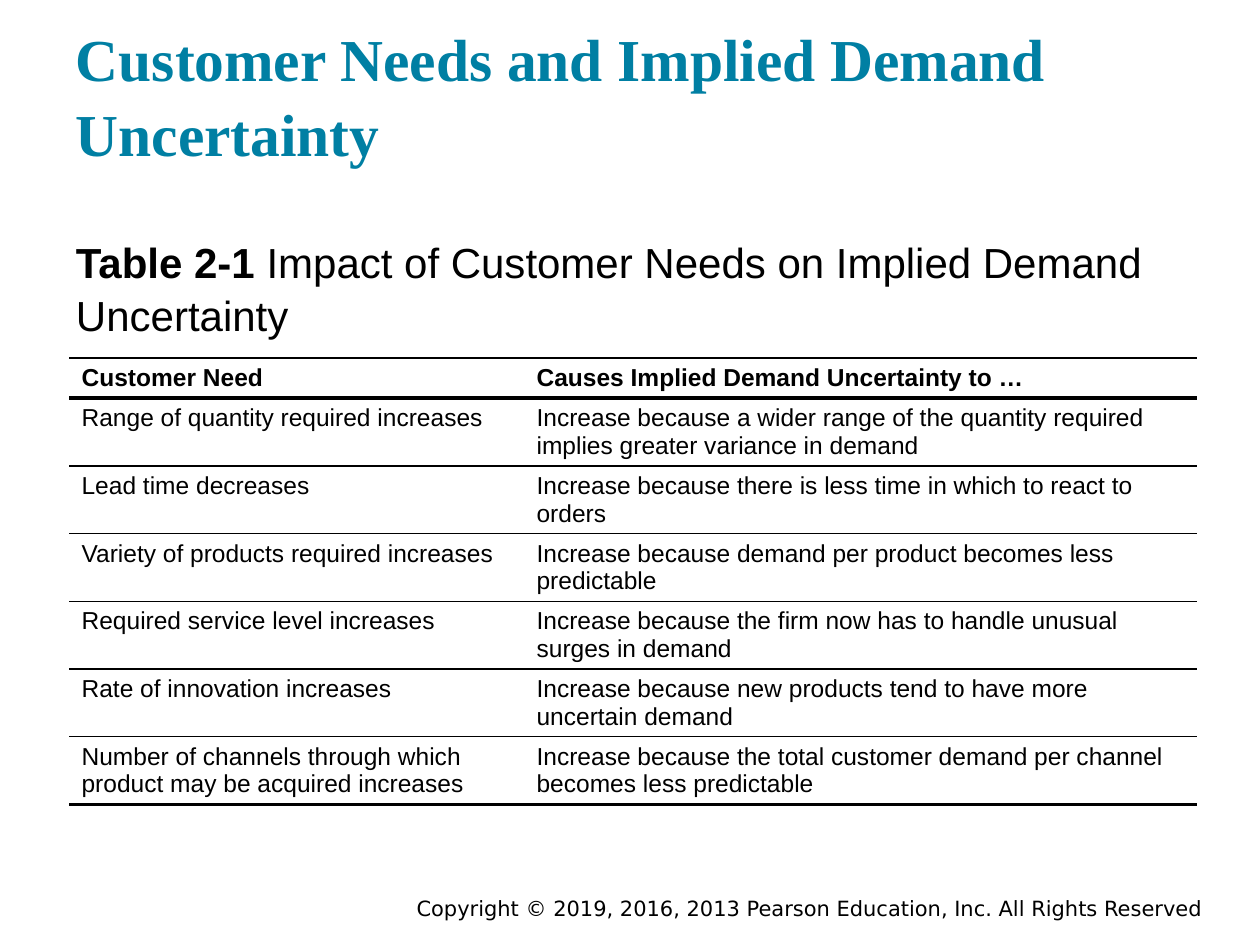
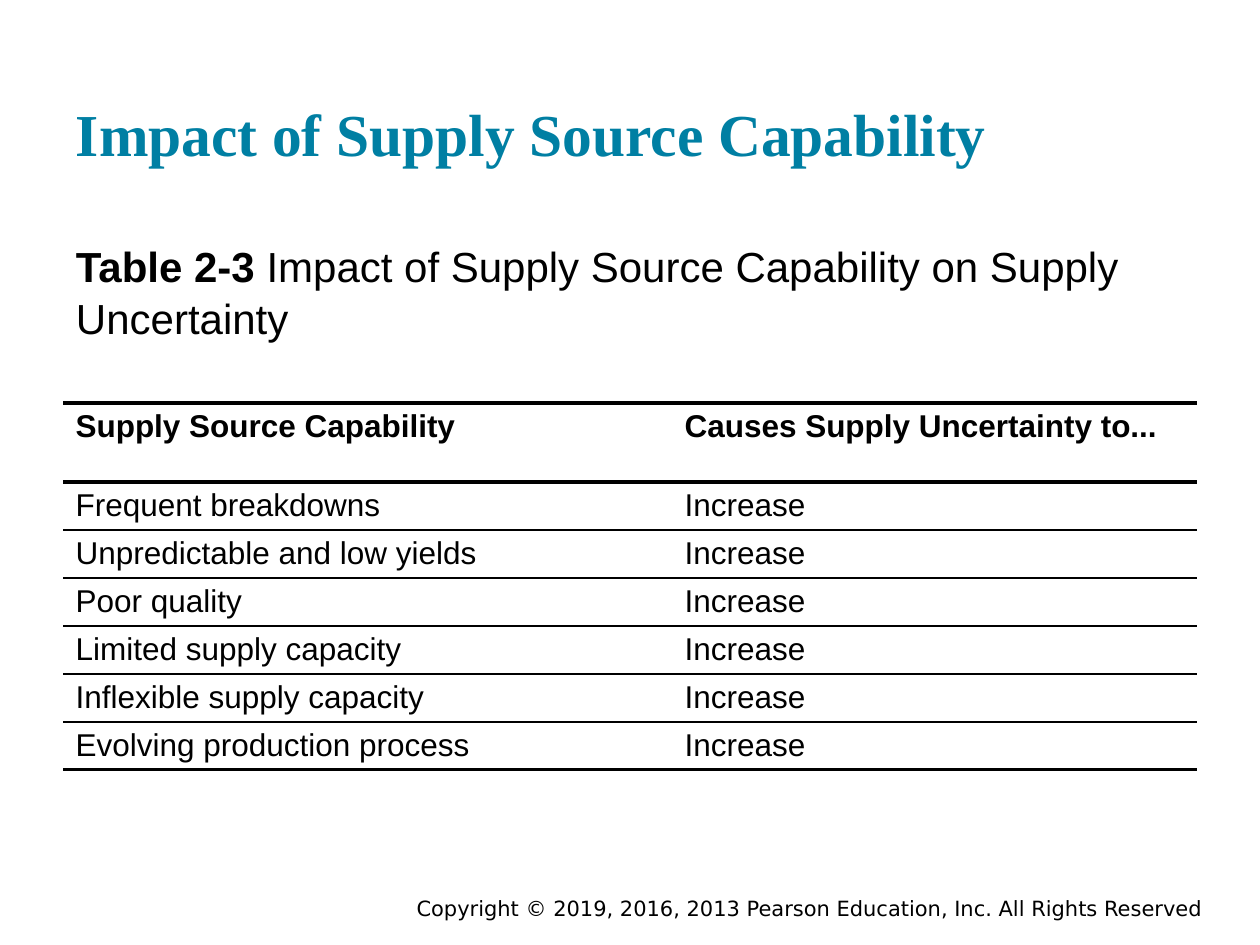
from lxml import etree
from pptx import Presentation
from pptx.dml.color import RGBColor
from pptx.enum.text import MSO_ANCHOR, MSO_AUTO_SIZE, PP_ALIGN
from pptx.oxml.ns import qn
from pptx.util import Emu, Pt

LEFT, RIGHT = PP_ALIGN.LEFT, PP_ALIGN.RIGHT
TOP, MIDDLE, BOTTOM = MSO_ANCHOR.TOP, MSO_ANCHOR.MIDDLE, MSO_ANCHOR.BOTTOM
FIXED = MSO_AUTO_SIZE.NONE
TEAL, BLACK = "007FA3", "000000"
SERIF, SANS, FINE = "Times New Roman", "Arial", "DejaVu Sans"
THIN, THICK = 1, 2.25
NOTICE = "Copyright © 2019, 2016, 2013 Pearson Education, Inc. All Rights Reserved"


def px(count):
    return Emu(round(count * 914400 / 126))


def write(para, text, face, size, color=BLACK, bold=False):
    run = para.add_run()
    run.text = text
    run.font.name = face
    run.font.size = Pt(size)
    run.font.bold = bold
    run.font.color.rgb = RGBColor.from_string(color)


pages = [
    {
        "title": "Customer Needs and Implied Demand Uncertainty",
        "head": (11, 170),
        "label": "Table 2-1",
        "caption": " Impact of Customer Needs on Implied Demand Uncertainty",
        "body": (222, 115),
        "grid": (69, 358),
        "cols": (455, 673),
        "heights": (40, 67),
        "size": 14,
        "top": THIN,
        "rows": [
            ("Customer Need", "Causes Implied Demand Uncertainty to …"),
            ("Range of quantity required increases",
             "Increase because a wider range of the quantity required implies greater variance in demand"),
            ("Lead time decreases",
             "Increase because there is less time in which to react to orders"),
            ("Variety of products required increases",
             "Increase because demand per product becomes less predictable"),
            ("Required service level increases",
             "Increase because the firm now has to handle unusual surges in demand"),
            ("Rate of innovation increases",
             "Increase because new products tend to have more uncertain demand"),
            ("Number of channels through which product may be acquired increases",
             "Increase because the total customer demand per channel becomes less predictable"),
        ],
    },
    {
        "title": "Impact of Supply Source Capability",
        "head": (30, 151),
        "label": "Table 2-3",
        "caption": " Impact of Supply Source Capability on Supply Uncertainty",
        "body": (225, 117),
        "grid": (63, 403),
        "cols": (609, 525),
        "heights": (79, 48),
        "size": 18,
        "top": THICK,
        "rows": [
            ("Supply Source Capability", "Causes Supply Uncertainty to..."),
            ("Frequent breakdowns", "Increase"),
            ("Unpredictable and low yields", "Increase"),
            ("Poor quality", "Increase"),
            ("Limited supply capacity", "Increase"),
            ("Inflexible supply capacity", "Increase"),
            ("Evolving production process", "Increase"),
        ],
    },
]

deck = Presentation()
deck.slide_width, deck.slide_height = px(1260), px(945)

for page in pages:
    slide = deck.slides.add_slide(deck.slide_layouts[5])
    shapes = slide.shapes
    title = shapes.title
    y, high = page["head"]
    title.left, title.top, title.width, title.height = px(63), px(y), px(1134), px(high)
    y, high = page["body"]
    body = shapes.add_textbox(px(63), px(y), px(1134), px(high))
    foot = shapes.add_textbox(px(378), px(892), px(838), px(32))

    for box, anchor, align, pad, space in [
        (title, BOTTOM, LEFT, 13, 1.05),
        (body, TOP, LEFT, 13, 1.04),
        (foot, MIDDLE, RIGHT, 6, 1.0),
    ]:
        frame = box.text_frame
        frame.word_wrap = True
        frame.auto_size = FIXED
        frame.vertical_anchor = anchor
        frame.margin_left = frame.margin_right = px(13)
        frame.margin_top = frame.margin_bottom = px(pad)
        frame.paragraphs[0].alignment = align
        frame.paragraphs[0].line_spacing = space

    write(title.text_frame.paragraphs[0], page["title"], SERIF, 34, TEAL, True)
    para = body.text_frame.paragraphs[0]
    write(para, page["label"], SANS, 24, bold=True)
    write(para, page["caption"], SANS, 24)
    write(foot.text_frame.paragraphs[0], NOTICE, FINE, 12)

    rows, cols = page["rows"], page["cols"]
    first, rest = page["heights"]
    x, y = page["grid"]
    last = len(rows) - 1
    table = shapes.add_table(len(rows), len(cols), px(x), px(y),
                             px(sum(cols)), px(first + rest * last)).table
    table.first_row = table.horz_banding = False
    for col, wide in zip(table.columns, cols):
        col.width = px(wide)

    rules = [page["top"], THICK] + [THIN] * (last - 1) + [THICK]
    for r, texts in enumerate(rows):
        table.rows[r].height = px(rest if r else first)
        for c, text in enumerate(texts):
            cell = table.cell(r, c)
            write(cell.text_frame.paragraphs[0], text, SANS, page["size"], bold=r == 0)
            props = cell._tc.get_or_add_tcPr()
            for side, weight in [("L", 0), ("R", 0), ("T", rules[r]), ("B", rules[r + 1])]:
                line = etree.SubElement(props, qn("a:ln" + side), w=str(Pt(weight)))
                if weight:
                    fill = etree.SubElement(line, qn("a:solidFill"))
                    etree.SubElement(fill, qn("a:srgbClr"), val=BLACK)
                else:
                    etree.SubElement(line, qn("a:noFill"))
            cell.fill.background()

deck.save("out.pptx")
